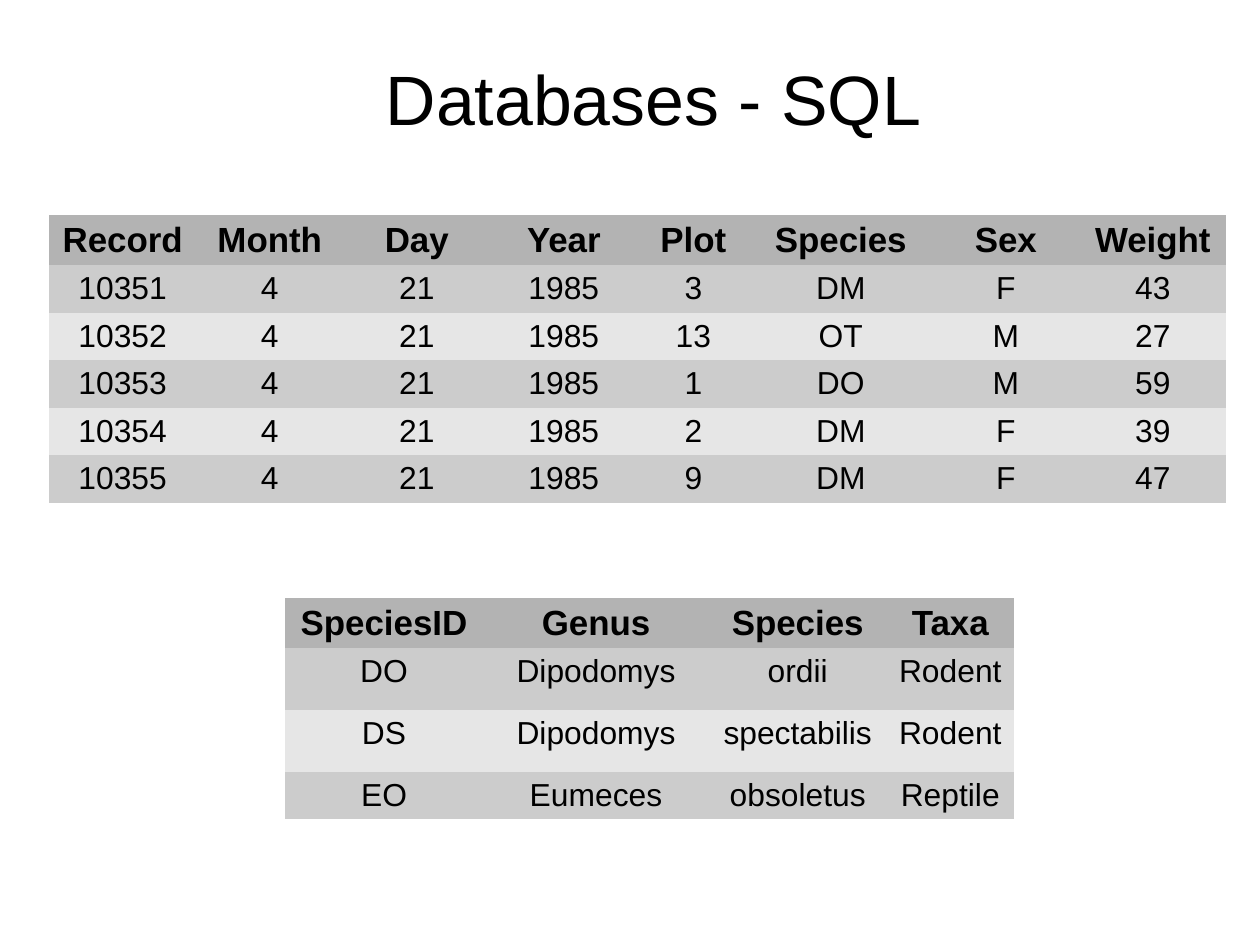
from dataclasses import dataclass

import pptx
import pptx.dml.color
import pptx.enum.text
import pptx.oxml.ns
import pptx.slide
import pptx.text.text
import pptx.util

Inches = pptx.util.Inches
Pt = pptx.util.Pt
RGBColor = pptx.dml.color.RGBColor
CENTER = pptx.enum.text.PP_ALIGN.CENTER

CM_PER_INCH = 2.54
SLIDE_WIDTH = 28 / CM_PER_INCH
SLIDE_HEIGHT = 21 / CM_PER_INCH

FONT = "Arial"
BLACK = RGBColor(0x00, 0x00, 0x00)
HEADER_GRAY = RGBColor(0xB3, 0xB3, 0xB3)
BAND_GRAYS = (RGBColor(0xE6, 0xE6, 0xE6), RGBColor(0xCC, 0xCC, 0xCC))
PLAIN_TABLE_STYLE = "{2D5ABB26-0587-4C30-8999-92F81FD0307C}"

HEADER_HEIGHT = 0.44
SURVEY_ROW = (2.52 - HEADER_HEIGHT) / 5
PLOT_WIDTH, SPECIES_WIDTH = 0.98, 1.6
SURVEY_COL = (10.3 - PLOT_WIDTH - SPECIES_WIDTH) / 6


@dataclass(frozen=True)
class DataTable:
    left: float
    top: float
    col_widths: list[float]
    row_heights: list[float]
    rows: list[tuple[str, ...]]


SPECIES = DataTable(
    2.49, 5.23, [1.74, 1.97, 1.56, 1.11], [HEADER_HEIGHT, 0.54, 0.54, SURVEY_ROW],
    [
        ("SpeciesID", "Genus", "Species", "Taxa"),
        ("DO", "Dipodomys", "ordii", "Rodent"),
        ("DS", "Dipodomys", "spectabilis", "Rodent"),
        ("EO", "Eumeces", "obsoletus", "Reptile"),
    ],
)
SURVEYS = DataTable(
    0.43, 1.88,
    [SURVEY_COL] * 4 + [PLOT_WIDTH, SPECIES_WIDTH] + [SURVEY_COL] * 2,
    [HEADER_HEIGHT] + [SURVEY_ROW] * 5,
    [
        ("Record", "Month", "Day", "Year", "Plot", "Species", "Sex", "Weight"),
        ("10351", "4", "21", "1985", "3", "DM", "F", "43"),
        ("10352", "4", "21", "1985", "13", "OT", "M", "27"),
        ("10353", "4", "21", "1985", "1", "DO", "M", "59"),
        ("10354", "4", "21", "1985", "2", "DM", "F", "39"),
        ("10355", "4", "21", "1985", "9", "DM", "F", "47"),
    ],
)


def write_centered(tf: pptx.text.text.TextFrame, text: str, size: int, bold: bool = False) -> None:
    p = tf.paragraphs[0]
    p.text = text
    p.alignment = CENTER
    p.font.name = FONT
    p.font.size = Pt(size)
    p.font.bold = bold
    p.font.color.rgb = BLACK


def add_data_table(s: pptx.slide.Slide, data: DataTable) -> None:
    frame = s.shapes.add_table(
        len(data.rows), len(data.col_widths), Inches(data.left), Inches(data.top),
        Inches(sum(data.col_widths)), Inches(sum(data.row_heights)),
    )
    table = frame.table
    table.horz_banding = False
    for style_id in frame.element.iter(pptx.oxml.ns.qn("a:tableStyleId")):
        style_id.text = PLAIN_TABLE_STYLE
    for column, width in zip(table.columns, data.col_widths):
        column.width = Inches(width)
    for i, (row, height) in enumerate(zip(table.rows, data.row_heights)):
        row.height = Inches(height)
        is_header = i == 0
        for cell, text in zip(row.cells, data.rows[i]):
            cell.fill.solid()
            cell.fill.fore_color.rgb = HEADER_GRAY if is_header else BAND_GRAYS[i % 2]
            write_centered(cell.text_frame, text, 22 if is_header else 20, is_header)


def add_title(s: pptx.slide.Slide, text: str) -> None:
    sp = s.shapes.add_textbox(Inches(2.02), Inches(0.44), Inches(7.4), Inches(0.78))
    tf = sp.text_frame
    tf.word_wrap = True
    tf.auto_size = pptx.enum.text.MSO_AUTO_SIZE.SHAPE_TO_FIT_TEXT
    write_centered(tf, text, 44)


def main() -> None:
    prs = pptx.Presentation()
    prs.slide_width = Inches(SLIDE_WIDTH)
    prs.slide_height = Inches(SLIDE_HEIGHT)
    s = prs.slides.add_slide(prs.slide_layouts[6])
    for data in (SPECIES, SURVEYS):
        add_data_table(s, data)
    add_title(s, "Databases - SQL")
    prs.save("out.pptx")


if __name__ == "__main__":
    main()
